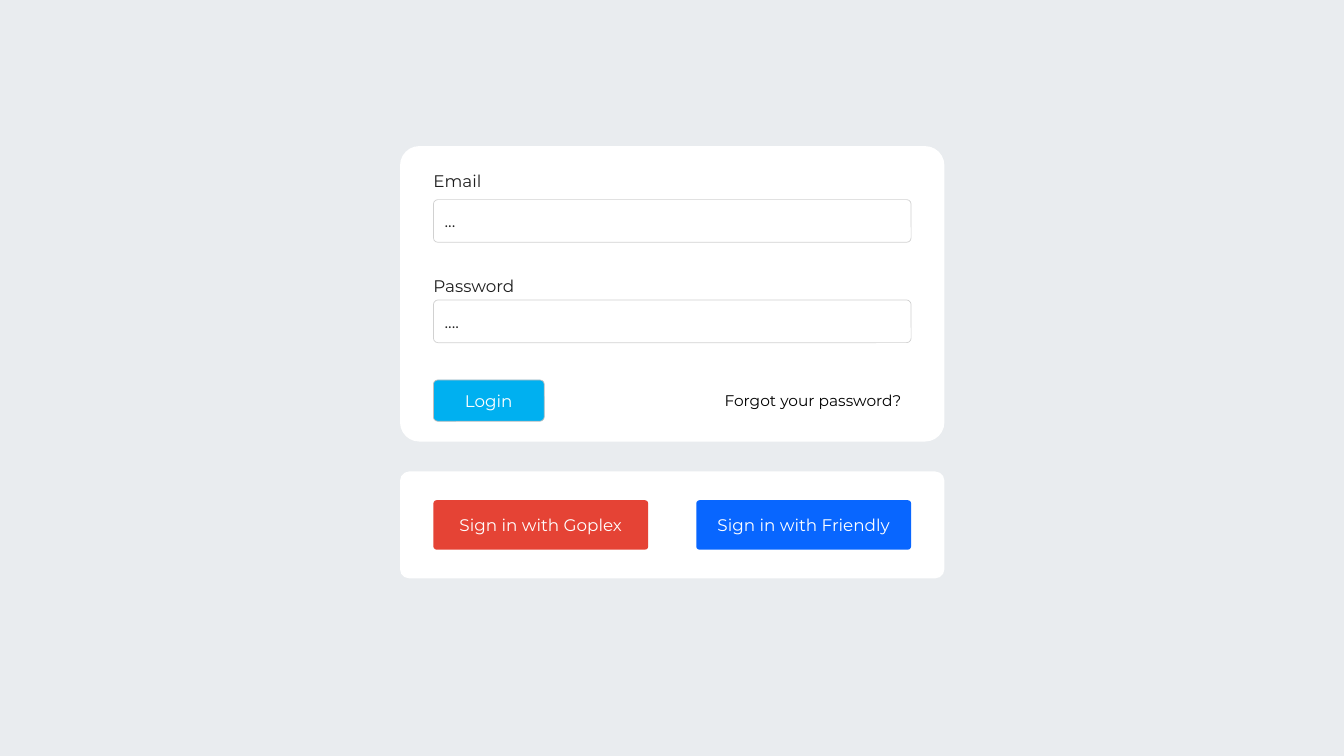
from pptx import Presentation
from pptx.dml.color import RGBColor
from pptx.enum import shapes, text
from pptx.util import Pt

BACKDROP = RGBColor(0xE9, 0xEC, 0xEF)
WHITE = RGBColor(0xFF, 0xFF, 0xFF)
BLACK = RGBColor(0, 0, 0)
INK = RGBColor(0x1F, 0x1F, 0x1F)
FIELD_LINE = RGBColor(0xD1, 0xD1, 0xD1)
BUTTON_LINE = RGBColor(0xBF, 0xBF, 0xBF)
SKY = RGBColor(0x00, 0xB0, 0xF0)
RED = RGBColor(0xE5, 0x43, 0x35)
BLUE = RGBColor(0x08, 0x66, 0xFF)

FONT = "Montserrat"
LEFT, CENTER = text.PP_ALIGN.LEFT, text.PP_ALIGN.CENTER
PADDING = 23.8


def write(shape, words, color, align=LEFT, size=12):
    frame = shape.text_frame
    frame.text = words
    frame.word_wrap = True
    frame.vertical_anchor = text.MSO_ANCHOR.MIDDLE
    para = frame.paragraphs[0]
    para.alignment = align
    font = para.runs[0].font
    font.name = FONT
    font.size = Pt(size)
    font.color.rgb = color


def add_panel(page, box, rounding, fill, line=None):
    panel = page.shapes.add_shape(
        shapes.MSO_SHAPE.ROUNDED_RECTANGLE, *map(Pt, box))
    panel.shadow.inherit = False
    panel.adjustments[0] = rounding
    panel.fill.solid()
    panel.fill.fore_color.rgb = fill
    if line is None:
        panel.line.fill.background()
    else:
        panel.line.color.rgb = line
        panel.line.width = Pt(0.5)
    return panel


def add_label(page, box, words):
    label = page.shapes.add_textbox(*map(Pt, box))
    frame = label.text_frame
    frame.margin_left = frame.margin_right = 0
    frame.margin_top = frame.margin_bottom = 0
    write(label, words, INK)


def add_login_card(page, box):
    left, top, width, height = box
    add_panel(page, box, 0.065, WHITE)
    inner_left = left + PADDING
    fields = [("Email", 17.3, "...", 38.2), ("Password", 92.2, "....", 109.9)]
    for name, label_top, value, field_top in fields:
        add_label(page, (inner_left, top + label_top, 128, 14.4), name)
        field = add_panel(
            page, (inner_left, top + field_top, width - 2 * PADDING, 30.5),
            0.106, WHITE, FIELD_LINE)
        write(field, value, INK)

    action_top = top + 167
    login = add_panel(page, (inner_left, action_top, 79.2, 29.5),
                      0.106, SKY, BUTTON_LINE)
    write(login, "Login", WHITE, CENTER)
    reminder = page.shapes.add_textbox(
        Pt(left + 178), Pt(action_top), Pt(234), Pt(29.5))
    write(reminder, "Forgot your password?", BLACK, CENTER, 11)


def add_social_card(page, box):
    left, top, width, height = box
    add_panel(page, box, 0.085, WHITE)
    button_width, button_height = 153.4, 35.3
    step = width - 2 * PADDING - button_width
    providers = [("Goplex", RED), ("Friendly", BLUE)]
    for index, (provider, color) in enumerate(providers):
        button = add_panel(
            page, (left + PADDING + index * step,
                   top + (height - button_height) / 2,
                   button_width, button_height), 0.065, color)
        write(button, f"Sign in with {provider}", WHITE, CENTER)


def main():
    deck = Presentation()
    deck.slide_width, deck.slide_height = Pt(960), Pt(540)
    page = deck.slides.add_slide(deck.slide_layouts.get_by_name("Blank"))
    page.background.fill.solid()
    page.background.fill.fore_color.rgb = BACKDROP
    add_social_card(page, (285.8, 336.8, 388.8, 76.3))
    add_login_card(page, (285.8, 104.4, 388.8, 211))
    deck.save("out.pptx")


if __name__ == "__main__":
    main()
